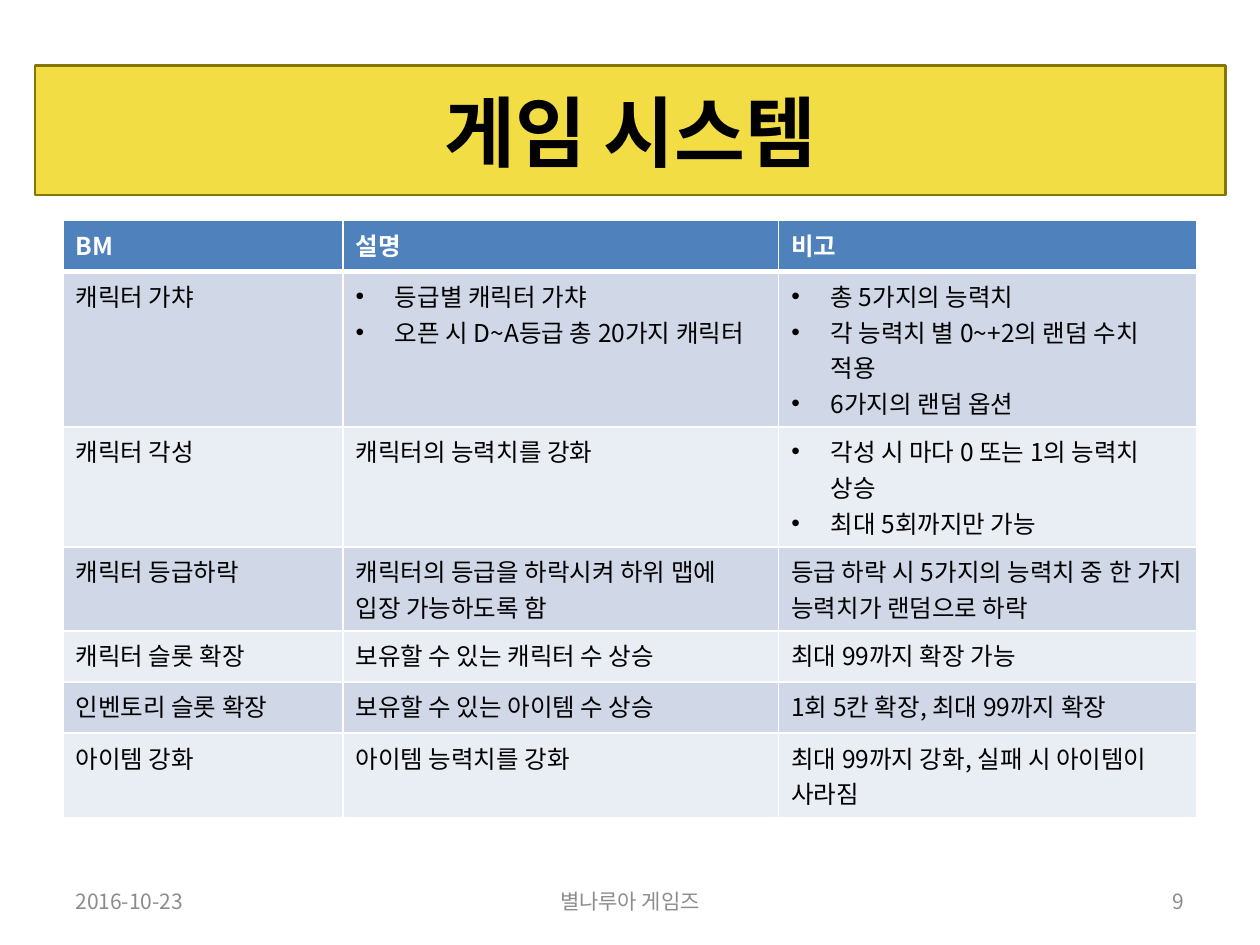
from dataclasses import dataclass

from lxml.etree import SubElement
from pptx import Presentation
from pptx.dml.color import RGBColor
from pptx.enum.shapes import MSO_SHAPE
from pptx.enum.text import MSO_ANCHOR, PP_ALIGN
from pptx.oxml.ns import qn
from pptx.util import Pt


@dataclass(frozen=True)
class Theme:
    font: str = "Noto Sans CJK KR"
    black: str = "000000"
    white: str = "FFFFFF"
    grey: str = "8C8C8C"
    yellow: str = "F2DD44"
    olive: str = "857609"
    header: str = "4F81BD"
    bands: tuple = ("E9EDF4", "D0D8E8")
    title_size: int = 44
    table_size: int = 14
    footer_size: int = 12


def add_run(paragraph, text, size, color, bold=False):
    run = paragraph.add_run()
    run.text = text
    run.font.size = Pt(size)
    run.font.bold = bold
    run.font.color.rgb = RGBColor.from_string(color)
    run.font.name = theme.font
    SubElement(run.font._element, qn("a:ea"), typeface=theme.font)


def add_border(cell, side, width):
    border = SubElement(cell._tc.get_or_add_tcPr(), qn(f"a:ln{side}"), w=str(Pt(width)))
    SubElement(SubElement(border, qn("a:solidFill")), qn("a:srgbClr"), val=theme.white)


theme = Theme()
prs = Presentation()
prs.slide_width, prs.slide_height = Pt(720), Pt(540)
slide = prs.slides.add_slide(prs.slide_layouts[6])

title = slide.shapes.add_shape(MSO_SHAPE.RECTANGLE, Pt(20), Pt(37.5), Pt(680.4), Pt(74))
title.shadow.inherit = False
title.fill.solid()
title.fill.fore_color.rgb = RGBColor.from_string(theme.yellow)
title.line.color.rgb = RGBColor.from_string(theme.olive)
title.line.width = Pt(1.5)
title.text_frame.vertical_anchor = MSO_ANCHOR.MIDDLE
title.text_frame.paragraphs[0].alignment = PP_ALIGN.CENTER
add_run(title.text_frame.paragraphs[0], "게임 시스템", theme.title_size, theme.black, True)

rows = [
    ("BM", "설명", "비고"),
    (
        "캐릭터 가챠",
        ["등급별 캐릭터 가챠", "오픈 시 D~A등급 총 20가지 캐릭터"],
        ["총 5가지의 능력치", "각 능력치 별 0~+2의 랜덤 수치 적용", "6가지의 랜덤 옵션"],
    ),
    (
        "캐릭터 각성",
        "캐릭터의 능력치를 강화",
        ["각성 시 마다 0 또는 1의 능력치 상승", "최대 5회까지만 가능"],
    ),
    (
        "캐릭터 등급하락",
        "캐릭터의 등급을 하락시켜 하위 맵에 입장 가능하도록 함",
        "등급 하락 시 5가지의 능력치 중 한 가지 능력치가 랜덤으로 하락",
    ),
    ("캐릭터 슬롯 확장", "보유할 수 있는 캐릭터 수 상승", "최대 99까지 확장 가능"),
    ("인벤토리 슬롯 확장", "보유할 수 있는 아이템 수 상승", "1회 5칸 확장, 최대 99까지 확장"),
    ("아이템 강화", "아이템 능력치를 강화", "최대 99까지 강화, 실패 시 아이템이 사라짐"),
]
row_height = 29.2
systems = slide.shapes.add_table(
    len(rows), 3, Pt(36), Pt(126), Pt(648), Pt(row_height * len(rows))
).table
for column, width in zip(systems.columns, (160, 249, 239)):
    column.width = Pt(width)

for row_index, row in enumerate(rows):
    systems.rows[row_index].height = Pt(row_height)
    is_header = row_index == 0
    for column_index, content in enumerate(row):
        cell = systems.cell(row_index, column_index)
        for side in "LRTB":
            thick = (side == "B" and is_header) or (side == "T" and row_index == 1)
            add_border(cell, side, 3 if thick else 1)
        cell.fill.solid()
        cell.fill.fore_color.rgb = RGBColor.from_string(
            theme.header if is_header else theme.bands[row_index % 2]
        )
        bulleted = isinstance(content, list)
        for line_index, line in enumerate(content if bulleted else [content]):
            frame = cell.text_frame
            paragraph = frame.add_paragraph() if line_index else frame.paragraphs[0]
            if bulleted:
                properties = paragraph._p.get_or_add_pPr()
                properties.set("marL", str(Pt(22.5)))
                properties.set("indent", str(Pt(-22.5)))
                SubElement(properties, qn("a:buFont"), typeface="Arial")
                SubElement(properties, qn("a:buChar"), char="•")
            add_run(
                paragraph,
                line,
                theme.table_size,
                theme.white if is_header else theme.black,
                is_header,
            )

for left, width, alignment, text in (
    (36, 168, PP_ALIGN.LEFT, "2016-10-23"),
    (246, 228, PP_ALIGN.CENTER, "별나루아 게임즈"),
    (516, 168, PP_ALIGN.RIGHT, "9"),
):
    footer = slide.shapes.add_textbox(Pt(left), Pt(500.5), Pt(width), Pt(28.75)).text_frame
    footer.word_wrap = True
    footer.vertical_anchor = MSO_ANCHOR.MIDDLE
    footer.paragraphs[0].alignment = alignment
    add_run(footer.paragraphs[0], text, theme.footer_size, theme.grey)

prs.save("out.pptx")
